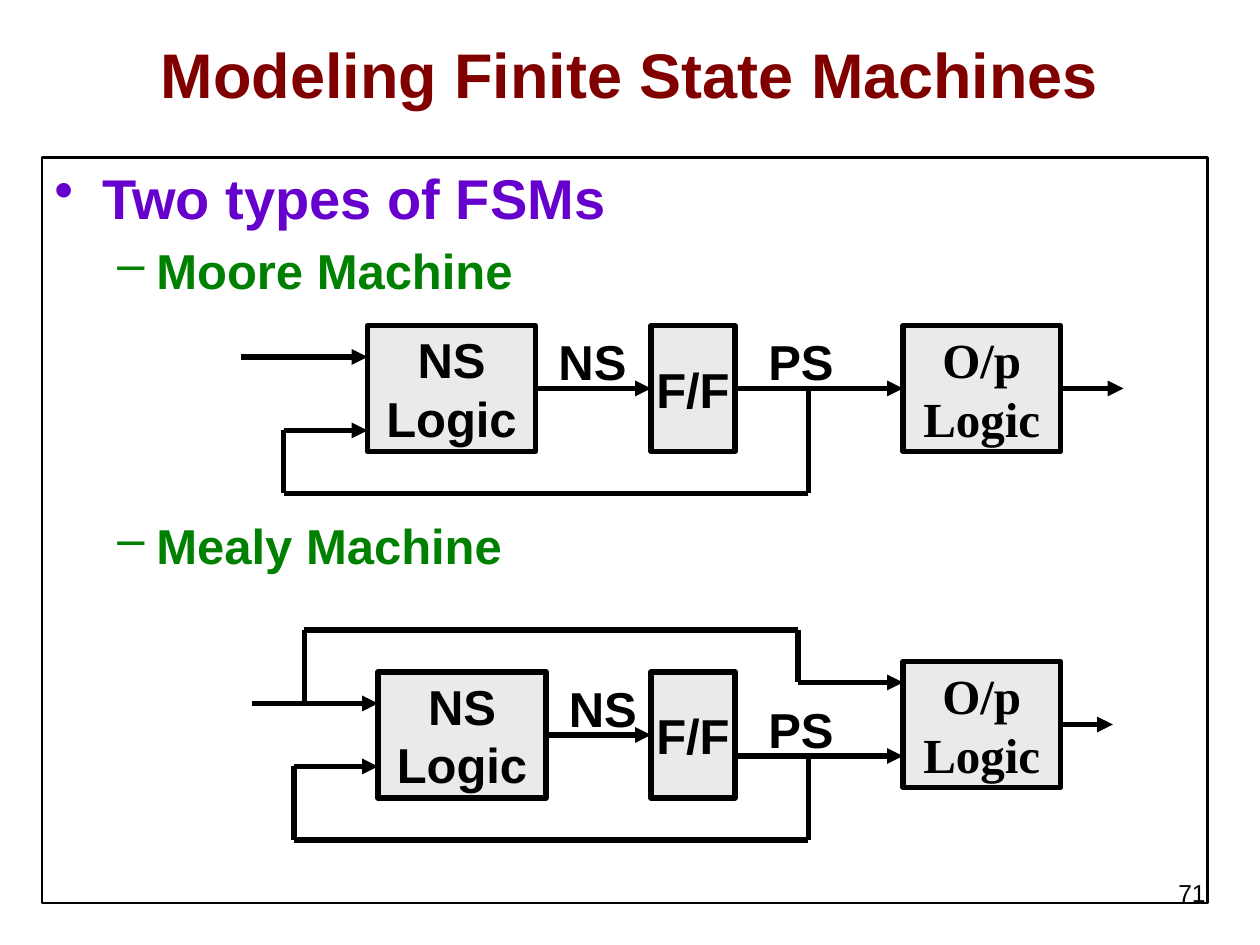
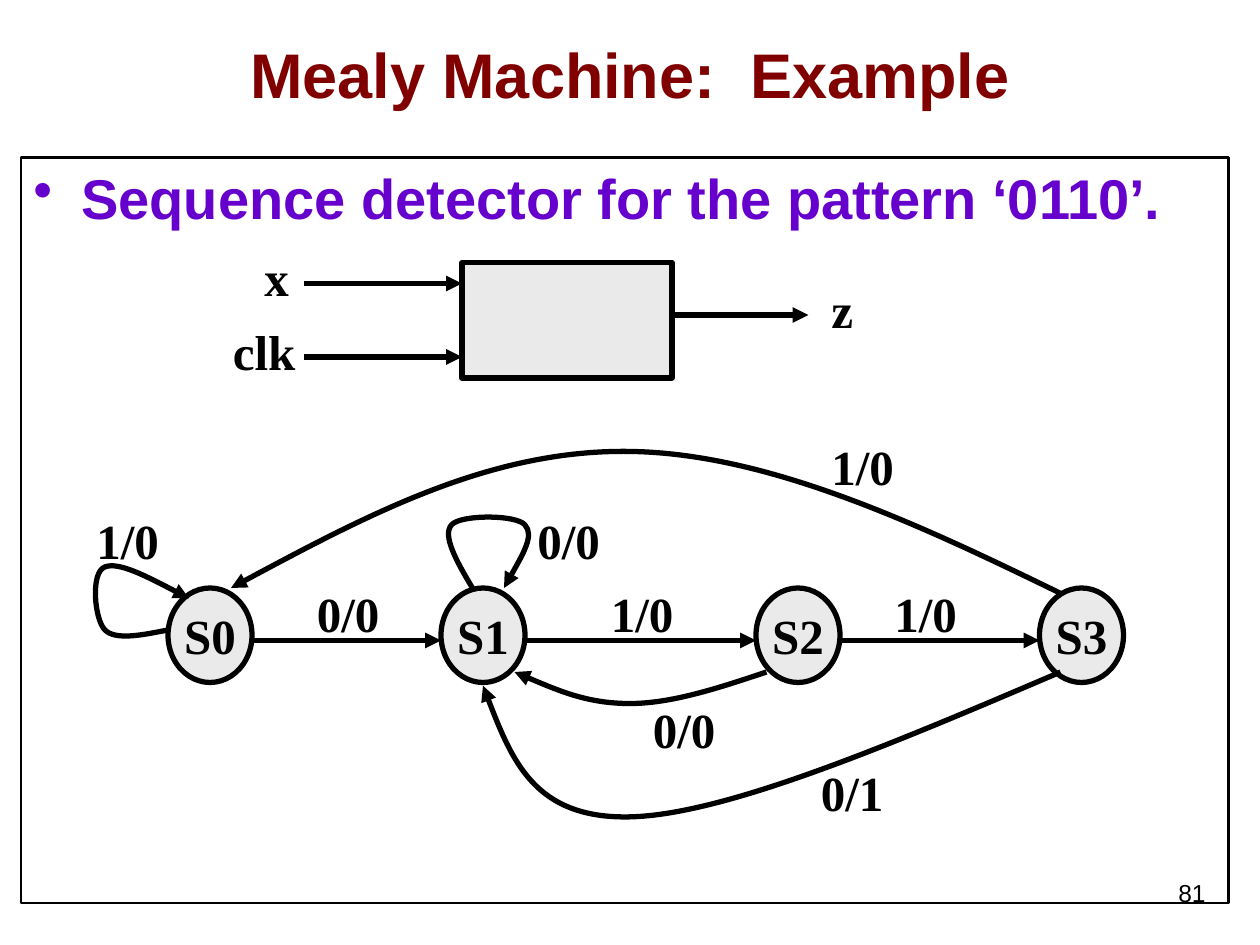
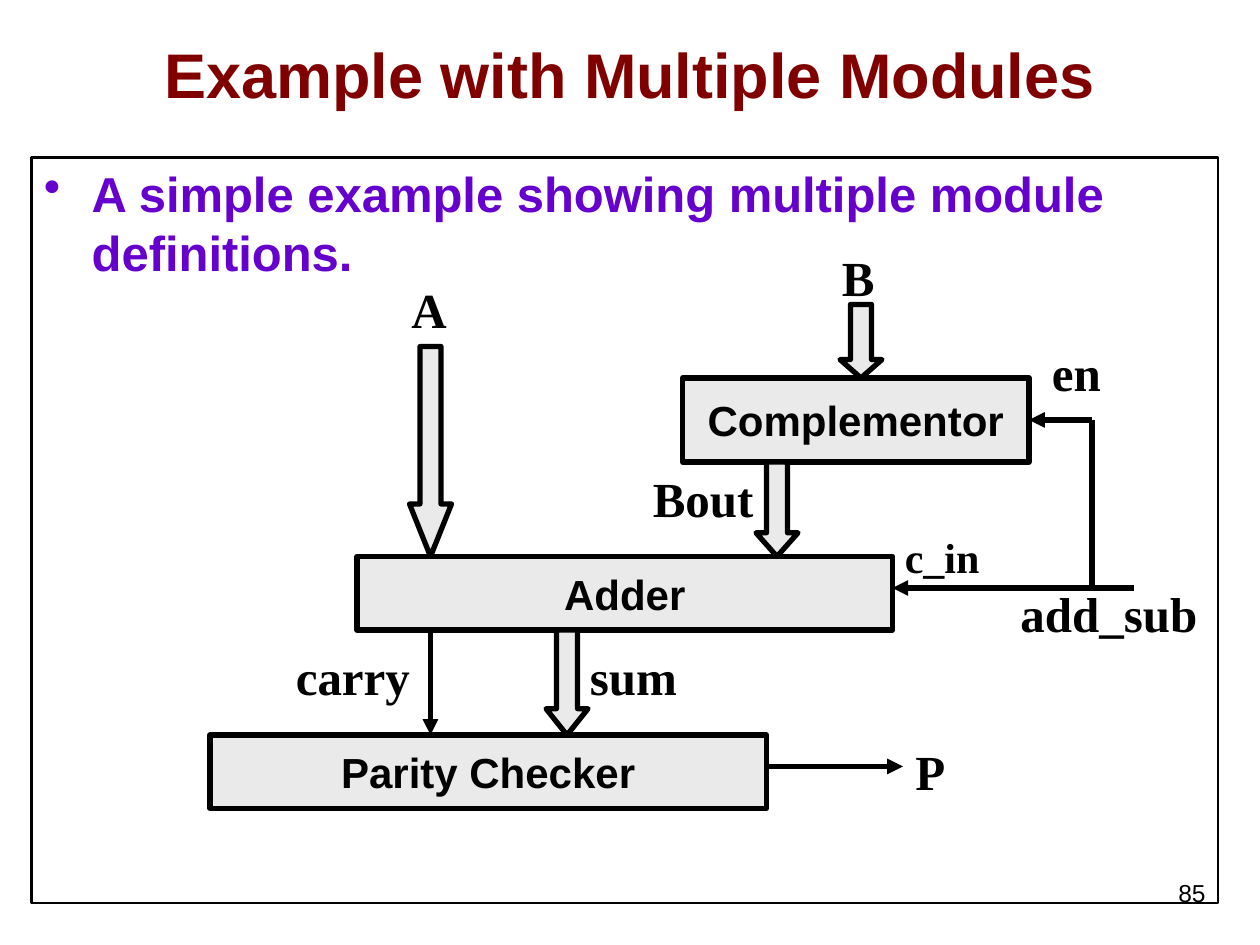
from dataclasses import dataclass

from lxml import etree
from pptx import Presentation
from pptx.dml.color import RGBColor
from pptx.enum.shapes import MSO_CONNECTOR, MSO_SHAPE
from pptx.enum.text import MSO_ANCHOR, PP_ALIGN
from pptx.oxml.ns import qn
from pptx.util import Inches, Pt

RECTANGLE, OVAL, DOWN_ARROW = MSO_SHAPE.RECTANGLE, MSO_SHAPE.OVAL, MSO_SHAPE.DOWN_ARROW
STRAIGHT = MSO_CONNECTOR.STRAIGHT
LEFT, CENTER, RIGHT = PP_ALIGN.LEFT, PP_ALIGN.CENTER, PP_ALIGN.RIGHT
TOP, MIDDLE = MSO_ANCHOR.TOP, MSO_ANCHOR.MIDDLE
LEFT_SIDE, RIGHT_SIDE = 1, 3
TITLE_ONLY = 5

# The slide is a grid of 120 columns and 90 rows, 12 to the inch
COLUMNS, ROWS, CELLS_PER_INCH = 120, 90, 12


@dataclass(frozen=True)
class Theme:
    sans: str = "Arial"
    serif: str = "Times New Roman"
    title: str = "800000"
    heading: str = "6600CC"
    subheading: str = "008000"
    ink: str = "000000"
    block: str = "EAEAEA"
    title_size: float = 36
    heading_size: float = 32
    text_size: float = 28
    small_size: float = 24
    number_size: float = 14
    frame_width: float = 1.5
    line_width: float = 3


THEME = Theme()


def grid(*cells):
    """Turn grid cells into lengths."""
    return [Inches(cell / CELLS_PER_INCH) for cell in cells]


# ---- Formatting ----

def set_all(target, values):
    for name, value in values.items():
        setattr(target, name, value)


def write(paragraph, text, size=THEME.text_size, font=THEME.sans,
          color=THEME.ink, bold=True, align=LEFT):
    paragraph.alignment = align
    run = paragraph.add_run()
    run.text = text
    set_all(run.font, {"name": font, "size": Pt(size), "bold": bold})
    run.font.color.rgb = RGBColor.from_string(color)


def set_line(shape, width=THEME.line_width):
    shape.line.color.rgb = RGBColor.from_string(THEME.ink)
    shape.line.width = Pt(width)


def add_arrowhead(shape):
    outline = shape.element.spPr.find(qn("a:ln"))
    etree.SubElement(outline, qn("a:tailEnd"), type="triangle")


def add_bullet(paragraph, symbol, margin, hanging):
    properties = paragraph._p.get_or_add_pPr()
    properties.set("marL", str(Inches(margin)))
    properties.set("indent", str(-Inches(hanging)))
    etree.SubElement(properties, qn("a:buChar"), char=symbol)


# ---- Slide frame ----

def start_slide(presentation, title, number, margins, heading,
                heading_size=THEME.heading_size, subheadings=()):
    """Add a slide with its title, framed outline and page number."""
    slide = presentation.slides.add_slide(presentation.slide_layouts[TITLE_ONLY])

    placeholder = slide.shapes.title
    left, top, width, height = grid(9, 3, COLUMNS - 18, 8)
    set_all(placeholder, {"left": left, "top": top, "width": width, "height": height})
    set_all(placeholder.text_frame, {"vertical_anchor": MIDDLE, "word_wrap": True})
    write(placeholder.text_frame.paragraphs[0], title, THEME.title_size,
          color=THEME.title, align=CENTER)

    left_margin, right_margin = margins
    body = slide.shapes.add_textbox(
        *grid(left_margin, 15, COLUMNS - left_margin - right_margin, ROWS - 19))
    set_line(body, THEME.frame_width)
    body.text_frame.word_wrap = True
    paragraph = body.text_frame.paragraphs[0]
    write(paragraph, heading, heading_size, color=THEME.heading)
    add_bullet(paragraph, "•", 0.38, 0.38)
    for text, space_before in subheadings:
        paragraph = body.text_frame.add_paragraph()
        paragraph.level = 1
        paragraph.space_before = Pt(space_before)
        write(paragraph, text, color=THEME.subheading)
        add_bullet(paragraph, "–", 0.81, 0.31)

    add_label(slide, str(number), 91, 83, 25, size=THEME.number_size,
              font=THEME.sans, bold=False, align=RIGHT)
    return slide


# ---- Diagram elements ----

def add_label(slide, text, column, row, width, **style):
    box = slide.shapes.add_textbox(*grid(column, row, width, 6.8))
    set_all(box.text_frame, {"word_wrap": True, "vertical_anchor": TOP})
    write(box.text_frame.paragraphs[0], text, **{"font": THEME.serif, **style})


def add_block(slide, cells, lines=(), kind=RECTANGLE, **style):
    block = slide.shapes.add_shape(kind, *grid(*cells))
    block.shadow.inherit = False
    block.fill.solid()
    block.fill.fore_color.rgb = RGBColor.from_string(THEME.block)
    set_line(block)
    frame = block.text_frame
    set_all(frame, {"word_wrap": False, "vertical_anchor": MIDDLE})
    for index, text in enumerate(lines):
        paragraph = frame.add_paragraph() if index else frame.paragraphs[0]
        write(paragraph, text, align=CENTER, **style)
    return block


def add_bus(slide, column, row, height):
    """A wide down arrow whose head is a quarter of its height."""
    width = 4
    bus = add_block(slide, (column, row, width, height), kind=DOWN_ARROW)
    bus.adjustments[0] = 0.5
    bus.adjustments[1] = height / 4 / width


def add_wire(slide, *points, source=None, target=None, target_side=LEFT_SIDE, arrow=True):
    """Join grid points with straight lines; the last one carries the arrowhead."""
    wires = []
    for start, end in zip(points, points[1:]):
        wire = slide.shapes.add_connector(STRAIGHT, *grid(*start, *end))
        set_line(wire)
        wires.append(wire)
    if source is not None:
        wires[0].begin_connect(source, RIGHT_SIDE)
    if target is not None:
        wires[-1].end_connect(target, target_side)
    if arrow:
        add_arrowhead(wires[-1])
    for wire in wires:
        etree.SubElement(wire.element.spPr, qn("a:effectLst"))


def add_curve(slide, start, *controls):
    """Draw Bézier curves with an arrowhead; each takes three points."""
    builder = slide.shapes.build_freeform(*grid(*start))
    builder.add_line_segments([grid(*point) for point in controls], close=False)
    curve = builder.convert_to_shape()
    segments = list(curve.element.iter(qn("a:lnTo")))
    for first in range(0, len(segments), 3):
        bezier = etree.Element(qn("a:cubicBezTo"))
        segments[first].addprevious(bezier)
        for segment in segments[first:first + 3]:
            bezier.append(segment[0])
            segment.getparent().remove(segment)
    curve.shadow.inherit = False
    curve.fill.background()
    set_line(curve)
    add_arrowhead(curve)


# ---- Slides ----

def add_stages(slide, logic_column, row, output_row, output_end):
    """Next-state logic, flip-flop and output logic of one machine."""
    logic = add_block(slide, (logic_column, row, 16, 12), ("NS", "Logic"))
    flip_flop = add_block(slide, (62, row, 8, 12), ("F/F",))
    output = add_block(slide, (86, output_row, 15, 12), ("O/p", "Logic"), font=THEME.serif)
    add_wire(slide, (logic_column + 16, row + 6), (62, row + 6),
             source=logic, target=flip_flop)
    add_wire(slide, (101, output_row + 6), (output_end, output_row + 6), source=output)
    add_label(slide, "NS", logic_column + 17, row, 10, font=THEME.sans)
    return flip_flop, output


def build_machine_types(presentation):
    slide = start_slide(presentation, "Modeling Finite State Machines", 71, (4, 5),
                        "Two types of FSMs",
                        subheadings=(("Moore Machine", 5.6), ("Mealy Machine", 123.5)))
    # Moore machine
    flip_flop, output = add_stages(slide, 35, 31, 31, 107)
    add_wire(slide, (23, 34), (35, 34))
    add_wire(slide, (70, 37), (86, 37), source=flip_flop, target=output)
    add_wire(slide, (77, 37), (77, 47), (27, 47), (27, 41), (35, 41))
    add_label(slide, "PS", 72, 31, 12, font=THEME.sans)

    # Mealy machine
    add_stages(slide, 36, 64, 63, 106)
    add_wire(slide, (24, 67), (36, 67))
    add_wire(slide, (70, 72), (86, 72))
    add_wire(slide, (29, 67), (29, 60), (76, 60), (76, 65), (86, 65))
    add_wire(slide, (77, 72), (77, 80), (28, 80), (28, 73), (36, 73))
    add_label(slide, "PS", 72, 66, 12, font=THEME.sans)


def build_sequence_detector(presentation):
    slide = start_slide(presentation, "Mealy Machine:  Example", 81, (2, 3),
                        "Sequence detector for the pattern ‘0110’.")
    # Detector block
    add_block(slide, (44, 25, 20, 11))
    for row in (27, 34):
        add_wire(slide, (29, row), (44, row))
    add_wire(slide, (64, 30), (77, 30))
    for name, column, row, width in (("x", 24, 23, 6), ("z", 78, 26, 6), ("clk", 21, 30, 22)):
        add_label(slide, name, column, row, width)

    # S3 to S0, behind the states
    add_curve(slide, (102, 57), (87.7, 50), (73.3, 43.2), (60, 43),
              (46.7, 42.8), (34.3, 49.4), (22, 56))

    # States and forward transitions
    state_columns = (16, 42, 72, 99)
    state_width = 8
    for index, column in enumerate(state_columns):
        add_block(slide, (column, 56, state_width, 9), (f"S{index}",), OVAL, font=THEME.serif)
    for column, following in zip(state_columns, state_columns[1:]):
        add_wire(slide, (column + state_width, 61), (following, 61))

    # Loops on S0 and S1, then the returns from S2 and S3 to S1
    add_curve(slide, (16, 60), (13.5, 60.5), (11, 61), (10, 60),
              (9, 59), (8.6, 54.5), (10, 54), (11.3, 53.5), (14.6, 55.2), (18, 57))
    add_curve(slide, (45, 56), (43.5, 53.5), (42.1, 51), (43, 50),
              (43.8, 49), (49.2, 49), (50, 50), (50.9, 51), (49.4, 53.5), (48, 56))
    add_curve(slide, (73, 64), (68.5, 65.5), (64, 67), (60, 67),
              (56, 67), (52.5, 65.5), (49, 64))
    add_curve(slide, (101, 64), (85.1, 70.8), (69.1, 77.6), (60, 77.8),
              (50.9, 78), (48.4, 71.6), (46, 65.3))

    # Input/output on each transition
    for text, column, row in (
            ("1/0", 78, 41), ("0/0", 61, 66), ("0/0", 50, 48), ("0/0", 29, 55),
            ("1/0", 57, 55), ("1/0", 8, 48), ("1/0", 84, 55), ("0/1", 77, 72)):
        add_label(slide, text, column, row, 9)


def build_multiple_modules(presentation):
    slide = start_slide(presentation, "Example with Multiple Modules", 85, (3, 4),
                        "A simple example showing multiple module definitions.",
                        THEME.text_size)
    # Bus A lies behind the modules
    add_bus(slide, 39, 33, 20)
    complementor, _, _ = [
        add_block(slide, cells, (name,), size=THEME.small_size)
        for name, cells in (("Complementor", (65, 36, 33, 8)),
                            ("Adder", (34, 53, 51, 7)),
                            ("Parity Checker", (20, 70, 53, 7)))]
    for column, row, height in ((80, 29, 7), (72, 44, 9), (52, 60, 10)):
        add_bus(slide, column, row, height)

    # Single-bit signals
    add_wire(slide, (41, 60), (41, 70))
    add_wire(slide, (108, 56), (85, 56))
    add_wire(slide, (104, 56), (104, 40), (98, 40),
             target=complementor, target_side=RIGHT_SIDE)
    add_wire(slide, (73, 73), (86, 73))

    # Signal names
    for text, column, row, width in (
            ("P", 86, 70, 7), ("A", 38, 26, 7), ("B", 79, 23, 7),
            ("add_sub", 96, 55, 21), ("Bout", 61, 44, 13), ("sum", 55, 61, 14),
            ("carry", 27, 61, 18), ("en", 99, 32, 12)):
        add_label(slide, text, column, row, width)
    add_label(slide, "c_in", 85, 50, 18, size=THEME.small_size)


def main():
    presentation = Presentation()
    width, height = grid(COLUMNS, ROWS)
    set_all(presentation, {"slide_width": width, "slide_height": height})
    build_machine_types(presentation)
    build_sequence_detector(presentation)
    build_multiple_modules(presentation)
    presentation.save("out.pptx")


if __name__ == "__main__":
    main()
